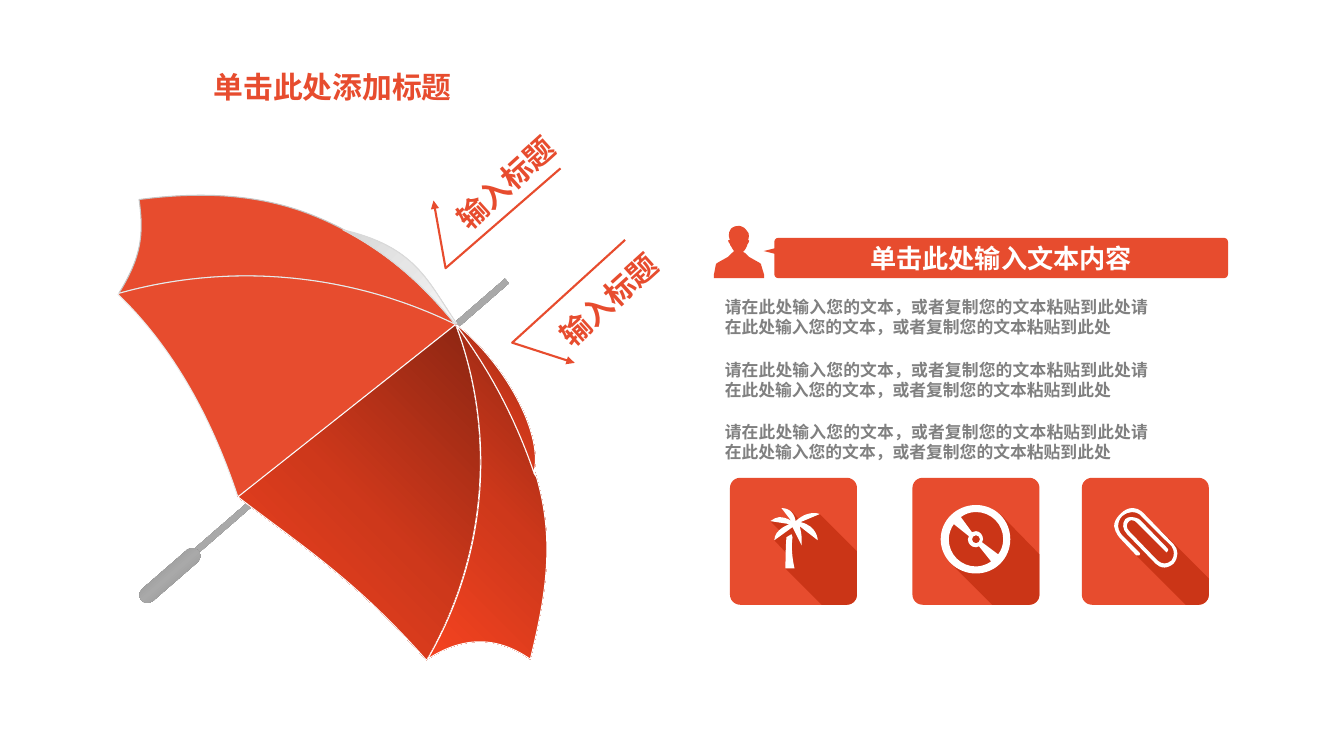
from copy import deepcopy
from dataclasses import dataclass

from lxml.etree import SubElement
from pptx import Presentation
from pptx.dml.color import RGBColor
from pptx.enum.shapes import MSO_SHAPE as Preset
from pptx.enum.text import MSO_ANCHOR as Anchor, MSO_AUTO_SIZE as AutoSize, PP_ALIGN as Align
from pptx.oxml.ns import qn
from pptx.util import Inches, Pt


@dataclass(frozen=True)
class Theme:
    """Colours, gradients, fonts and type sizes of the slide."""
    red: str = "E74C2E"
    shade: str = "CB3517"
    white: str = "FFFFFF"
    gray: str = "808080"
    edge: str = "C5C5C5"
    seam: str = "EAEAEA"
    lining_edge: str = "D9D9D9"
    metal: tuple = (90, "7D7D7D", "A9A9A9", "7D7D7D")
    lining: tuple = (45, "D7D7D7", "E6E6E6", "F9F9F9")
    dark_cloth: tuple = (135, "912713", "CE381B", "F54320")
    font: str = "Noto Sans CJK SC"
    title_font: str = "Roboto Condensed"
    heading: float = 21.3
    banner: float = 18.7
    body: float = 12
    leading: float = 14.3


THEME = Theme()
BODY = "请在此处输入您的文本，或者复制您的文本粘贴到此处" * 2
PERSON = """M .55 .63 C .55 .63 .56 .62 .52 .6 L .43 .55 L .39 .51 C .37 .5 .36 .5 .38 .49
C .39 .48 .4 .46 .41 .44 L .41 .43 C .41 .43 .45 .38 .42 .38 C .42 .38 .45 .32 .4 .28
L .38 .26 C .31 .21 .25 .27 .25 .27 C .21 .32 .24 .38 .24 .38 C .2 .38 .24 .42 .24 .42
C .24 .44 .25 .44 .25 .44 C .26 .46 .27 .48 .28 .49 C .29 .5 .26 .5 .26 .51 L .22 .55
L .13 .6 C .09 .62 .1 .63 .1 .63 L .08 .73 L .08 .76 L .58 .76 L .58 .73 Z"""
CORNER = "L 1.26 1.16 C 1.26 1.22 1.21 1.26 1.16 1.26"
PALM = (f"""M .61 .33 L .7 .43 L .89 .36 L 1.26 .73 {CORNER} L .91 1.26 L .55 .9
L .58 .77 L .44 .62 L .52 .55 L .4 .43 L .57 .41 L .63 .46 Z""",
        "M .61 .56 L .62 .59 C .61 .66 .61 .77 .64 .9 L .55 .9 C .55 .9 .55 .7 .56 .59 Z",
        """M .59 .46 L .4 .43 C .43 .41 .46 .39 .49 .39 C .56 .39 .61 .43 .61 .43 L .51 .3
C .64 .3 .65 .43 .65 .43 C .73 .36 .79 .35 .83 .35 C .87 .35 .89 .36 .89 .36 L .7 .44
C .87 .48 .87 .62 .87 .62 L .69 .48 C .72 .57 .71 .67 .71 .67 L .62 .49 L .44 .62
C .44 .51 .59 .46 .59 .46 Z""")
DISC = (f"""M .6 .29 L .87 .36 L 1.26 .76 {CORNER} L .79 1.26 L .38 .85 L .3 .61
L .38 .37 Z""",
        """M .63 .27 C .82 .27 .97 .42 .97 .61 C .97 .8 .82 .95 .63 .95
C .44 .95 .28 .8 .28 .61 C .28 .42 .44 .27 .63 .27 Z
M .9 .61 C .9 .46 .78 .34 .63 .34 C .57 .34 .52 .36 .48 .39 L .59 .54
C .6 .54 .62 .53 .63 .53 C .67 .53 .7 .57 .7 .61 C .7 .62 .7 .63 .69 .64 L .85 .76
C .88 .72 .9 .67 .9 .61 Z
M .59 .61 C .59 .63 .61 .65 .63 .65 C .65 .65 .67 .63 .67 .61
C .67 .59 .65 .57 .63 .57 C .61 .57 .59 .59 .59 .61 Z
M .63 .88 C .68 .88 .74 .86 .78 .83 L .66 .68 C .65 .68 .64 .69 .63 .69
C .58 .69 .55 .65 .55 .61 C .55 .6 .55 .59 .56 .58 L .41 .46
C .38 .5 .36 .56 .36 .61 C .36 .76 .48 .88 .63 .88 Z""")
CLIP = (f"""M .52 .32 L .78 .52 L 1.26 1 {CORNER} L 1.03 1.26 L .51 .74 L .34 .51
L .38 .37 Z""",
        """M .5 .3 L .51 .3 C .57 .3 .62 .36 .62 .36 L .91 .66 C .96 .71 .96 .79 .91 .85
C .89 .87 .85 .89 .82 .89 C .78 .89 .75 .87 .73 .85 L .45 .56 C .4 .51 .4 .45 .43 .41
C .45 .39 .47 .39 .49 .39 C .52 .39 .56 .4 .58 .42 L .85 .7 C .86 .71 .86 .72 .85 .73
C .85 .73 .84 .74 .84 .74 C .83 .74 .83 .73 .83 .73 L .55 .45 C .54 .43 .51 .42 .49 .42
C .48 .42 .47 .43 .46 .44 C .44 .46 .44 .5 .47 .53 L .75 .82 C .77 .84 .8 .85 .82 .85
C .84 .85 .87 .84 .89 .82 C .92 .78 .92 .72 .89 .68 L .59 .38 C .59 .38 .56 .34 .5 .34
C .47 .34 .44 .35 .4 .38 C .37 .41 .36 .45 .36 .48 C .36 .53 .4 .57 .4 .57 L .57 .74
C .58 .75 .58 .76 .57 .77 L .54 .77 L .38 .6 C .38 .6 .33 .55 .32 .48
C .32 .44 .34 .4 .38 .36 C .42 .32 .46 .3 .5 .3 Z""")


def set_all(target, values):
    """Set attributes of an object from a dict."""
    for name, value in values.items():
        setattr(target, name, value)


def paint(shape, fill=None, line=None, width=0.75):
    """Give a shape its fill, a plain colour or a three-stop gradient, and its line."""
    shape.shadow.inherit = False
    if isinstance(fill, tuple):
        shape.fill.gradient()
        shape.fill.gradient_angle = 360 - fill[0]
        stop_list = shape.element.spPr.find(qn("a:gradFill")).find(qn("a:gsLst"))
        stop_list.append(deepcopy(stop_list[-1]))
        for index, stop in enumerate(shape.fill.gradient_stops):
            stop.position = index / 2
            stop.color.rgb = RGBColor.from_string(fill[index + 1])
    elif fill:
        shape.fill.solid()
        shape.fill.fore_color.rgb = RGBColor.from_string(fill)
    else:
        shape.fill.background()
    if line:
        shape.line.color.rgb = RGBColor.from_string(line)
        shape.line.width = Pt(width)
    else:
        shape.line.fill.background()


def read_commands(outline, box):
    """Turn move, line and curve commands into letters with their points on the slide."""
    commands, tokens = [], iter(outline.split())
    for letter in tokens:
        count = {"M": 1, "L": 1, "C": 3, "Z": 0}[letter]
        commands.append((letter, [(Inches(box[0] + float(next(tokens))),
                                   Inches(box[1] + float(next(tokens))))
                                  for _ in range(count)]))
    return commands


def add_outline(slide, box, outline, **style):
    """Draw an outline whose coordinates start at the corner of the box."""
    commands = read_commands(outline, box)
    builder = slide.shapes.build_freeform(*commands[0][1][0], scale=1.0)
    for letter, points in commands[1:]:
        if letter == "M":
            builder.move_to(*points[0])
        else:
            builder.add_line_segments(points[-1:], close=letter == "Z")
    shape = builder.convert_to_shape()
    segments = list(shape.element.spPr.iter(qn("a:moveTo"), qn("a:lnTo")))
    drawn = [command for command in commands if command[1]]
    for segment, (letter, points) in zip(segments, drawn):
        if letter == "C":
            segment.tag = qn("a:cubicBezTo")
            segment.remove(segment[0])
            for x, y in points:
                SubElement(segment, qn("a:pt"), x=str(x - shape.left), y=str(y - shape.top))
    paint(shape, **style)
    return shape


def add_preset(slide, preset, box, fill, rotation=0, radius=None):
    """Add a preset shape without a line."""
    shape = slide.shapes.add_shape(preset, *map(Inches, box))
    shape.rotation = rotation
    if radius is not None:
        shape.adjustments[0] = radius
    paint(shape, fill)
    return shape


def write(shape, texts, size, color, font=THEME.font, frame=None, paragraph_format=None):
    """Write bold paragraphs into a shape."""
    text_frame = shape.text_frame
    set_all(text_frame, {"auto_size": AutoSize.NONE, "word_wrap": False,
                         "vertical_anchor": Anchor.MIDDLE, **(frame or {})})
    for index, text in enumerate(texts):
        paragraph = text_frame.add_paragraph() if index else text_frame.paragraphs[0]
        set_all(paragraph, {"alignment": Align.LEFT, **(paragraph_format or {})})
        run = paragraph.add_run()
        run.text = text
        set_all(run.font, {"size": Pt(size), "bold": True, "name": font})
        run.font.color.rgb = RGBColor.from_string(color)
        SubElement(run._r.get_or_add_rPr(), qn("a:ea"), typeface=font)


def add_title(slide, box):
    """Place the slide title."""
    title = slide.shapes.title
    set_all(title, dict(zip(("left", "top", "width", "height"), map(Inches, box))))
    write(title, ["单击此处添加标题"], THEME.heading, THEME.red, THEME.title_font)


def add_umbrella(slide, box):
    """Draw the umbrella: shaft, panels and handle."""
    left, top = box
    add_preset(slide, Preset.RECTANGLE, (left + 0.44, top + 2.6, 4.09, 0.06), THEME.metal, 319)
    panels = (
        ("""M 3.52 1.72 C 3.24 1.39 2.95 1.07 2.45 .8 C 2.02 .57 1.44 .34 .38 .48
C .43 .84 .4 1.05 .18 1.41 C 1.29 1.1 2.48 1.21 3.52 1.72 Z""", THEME.red, THEME.edge, 0.75),
        ("""M 3.52 1.72 C 2.48 1.21 1.29 1.1 .18 1.41 L .17 1.42
C .74 1.97 1.11 2.68 1.36 3.43 Z""", THEME.red, THEME.seam, 0.75),
        ("M 3.53 1.71 C 3.24 1.29 3.13 .95 2.4 .78 C 2.9 1.04 3.24 1.38 3.52 1.72 Z",
         THEME.lining, THEME.lining_edge, 0),
        ("""M 3.24 5.04 C 3.82 4.03 3.93 2.81 3.52 1.72 L 1.36 3.43
C 2.04 3.95 2.53 4.26 3.23 5.05 Z""", THEME.dark_cloth, THEME.white, 0.75),
        ("""M 4.32 3.23 L 4.3 3.2 C 4.12 2.67 3.86 2.17 3.52 1.72 C 3.93 2.81 3.83 4.03 3.24 5.04
C 3.62 4.79 3.96 4.83 4.26 5.04 C 4.41 4.43 4.51 3.87 4.32 3.23 Z""",
         THEME.dark_cloth, THEME.white, 0.75),
        ("""M 4.3 3.17 C 4.38 2.78 4 2.1 3.54 1.73 L 3.52 1.72
C 3.86 2.17 4.12 2.67 4.3 3.2 L 4.32 3.23 Z""", THEME.dark_cloth, THEME.white, 0))
    for outline, fill, line, width in panels:
        add_outline(slide, box, outline, fill=fill, line=line, width=width)
    add_preset(slide, Preset.ROUNDED_RECTANGLE, (left + 0.31, top + 4.13, 0.75, 0.16),
               THEME.metal, 319, 0.5)


def add_callout(slide, box, outline, label_box):
    """Draw a bent arrow with its slanted label."""
    arrow = add_outline(slide, box, outline, line=THEME.red, width=1.5)
    SubElement(arrow.element.spPr.find(qn("a:ln")), qn("a:tailEnd"), type="triangle")
    x, y, width, height = label_box
    label = slide.shapes.add_textbox(*map(Inches, (box[0] + x, box[1] + y, width, height)))
    label.rotation = 317.8
    write(label, ["输入标题"], THEME.heading, THEME.red)


def add_banner(slide, box):
    """Draw the person and the speech banner."""
    left, top = box
    add_outline(slide, box, PERSON, fill=THEME.red)
    banner = add_preset(slide, Preset.ROUNDED_RECTANGLE, (left + 0.68, top + 0.36, 4.5, 0.4),
                        THEME.red, radius=0.1)
    margins = dict.fromkeys(("margin_left", "margin_top", "margin_right", "margin_bottom"), 0)
    write(banner, ["单击此处输入文本内容"], THEME.banner, THEME.white,
          frame={"word_wrap": True, **margins}, paragraph_format={"alignment": Align.CENTER})
    add_preset(slide, Preset.ISOSCELES_TRIANGLE, (left + 0.61, top + 0.42, 0.07, 0.14),
               THEME.red, 270)


def add_body(slide, box):
    """Place the three body paragraphs."""
    body = slide.shapes.add_textbox(*map(Inches, box))
    write(body, [BODY] * 3, THEME.body, THEME.gray,
          frame={"word_wrap": True, "vertical_anchor": Anchor.TOP},
          paragraph_format={"alignment": Align.JUSTIFY, "space_before": Pt(8),
                            "space_after": Pt(8), "line_spacing": Pt(THEME.leading)})


def add_tile(slide, box, icon):
    """Draw a rounded tile with an icon and its long shadow."""
    add_preset(slide, Preset.ROUNDED_RECTANGLE, (*box, 1.26, 1.26), THEME.red, radius=0.08)
    shadow, *figures = icon
    add_outline(slide, box, shadow, fill=THEME.shade)
    for figure in figures:
        add_outline(slide, box, figure, fill=THEME.white)


def main():
    """Build the slide and save it."""
    presentation = Presentation()
    set_all(presentation, {"slide_width": Inches(13.33), "slide_height": Inches(7.5)})
    slide = presentation.slides.add_slide(presentation.slide_layouts[5])
    add_title(slide, (2.02, 0.63, 2.6, 0.46))
    add_umbrella(slide, (1, 1.5))
    add_callout(slide, (4.3, 1.67), "M 1.26 0 L .12 .99 L 0 .32", (0.02, -0.1, 1.4, 0.46))
    add_callout(slide, (5.08, 2.38), "M 1.12 0 L 0 1.02 L .62 1.22", (0.24, 0.25, 1.6, 0.54))
    add_banner(slide, (7, 2))
    add_body(slide, (7.09, 2.9, 4.4, 2.18))
    for left, icon in ((7.24, PALM), (9.05, DISC), (10.73, CLIP)):
        add_tile(slide, (left, 4.74), icon)
    presentation.save("out.pptx")


if __name__ == "__main__":
    main()
